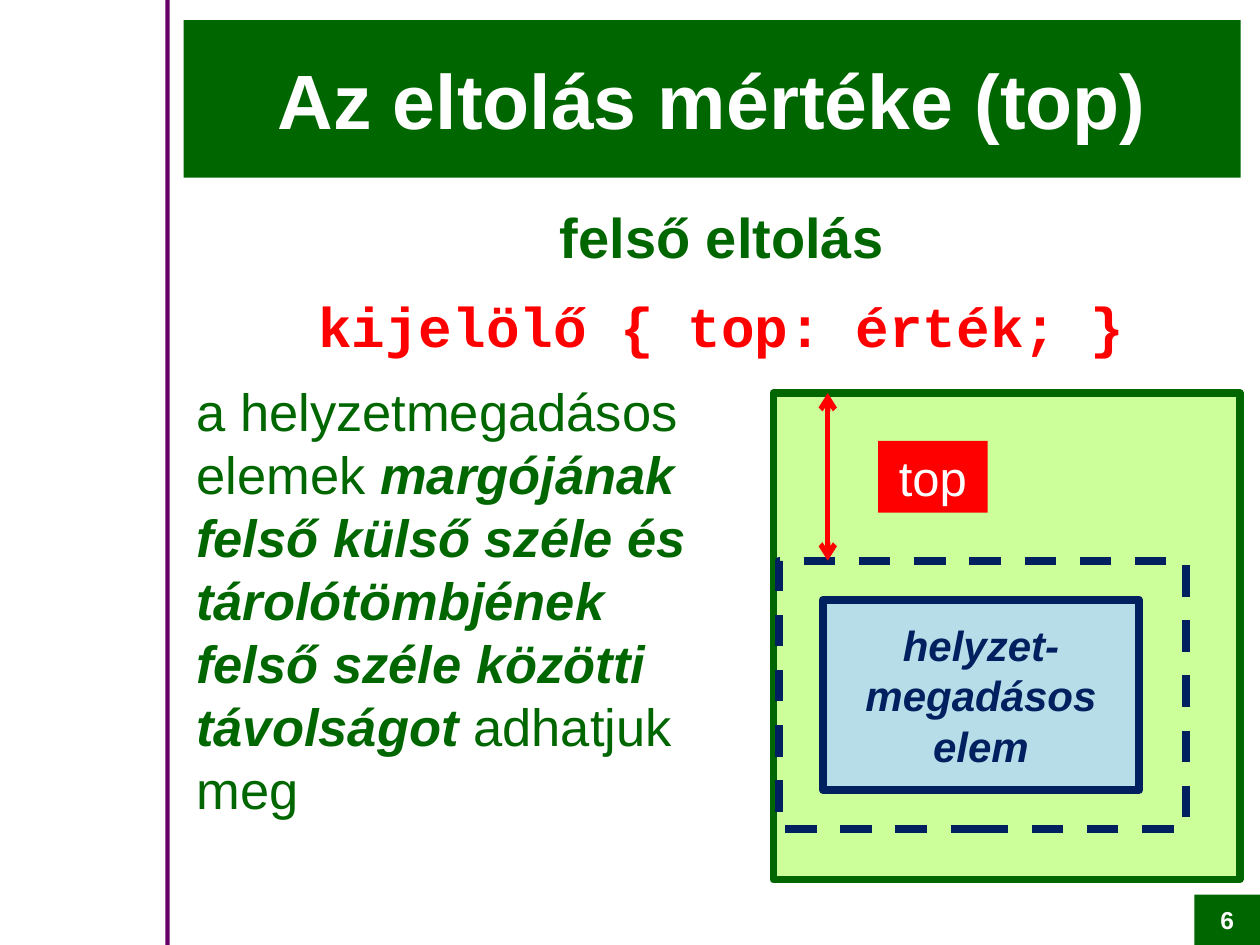
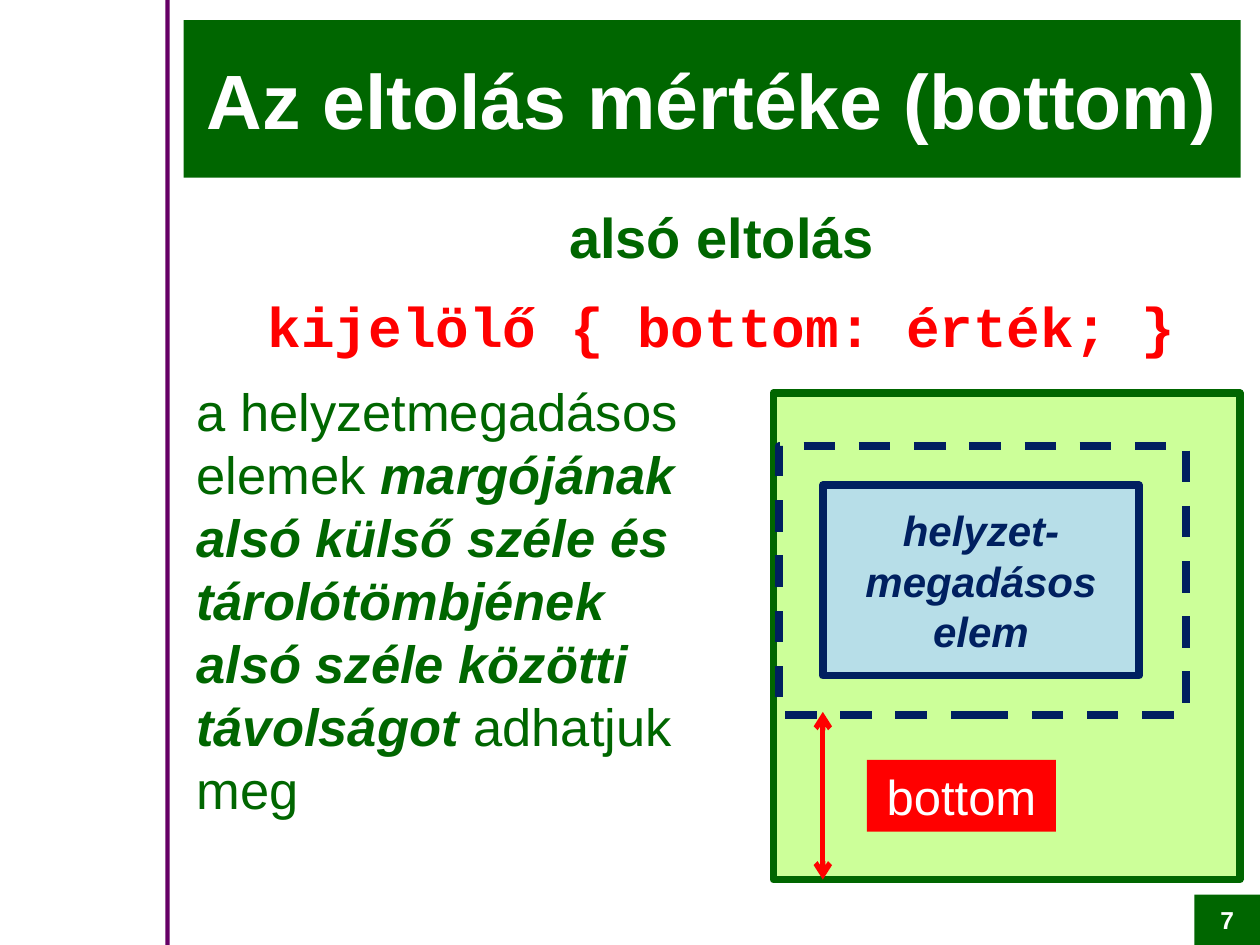
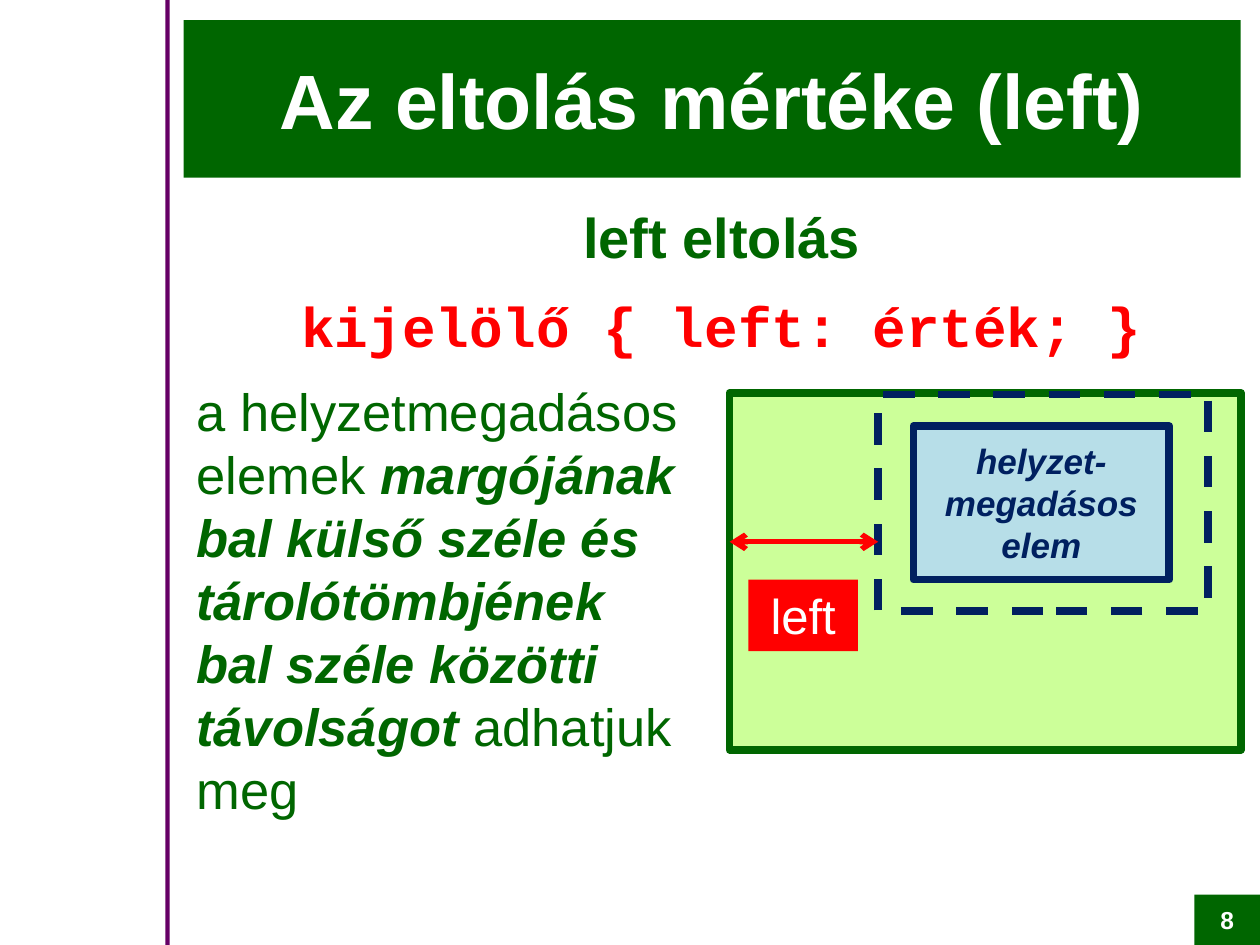
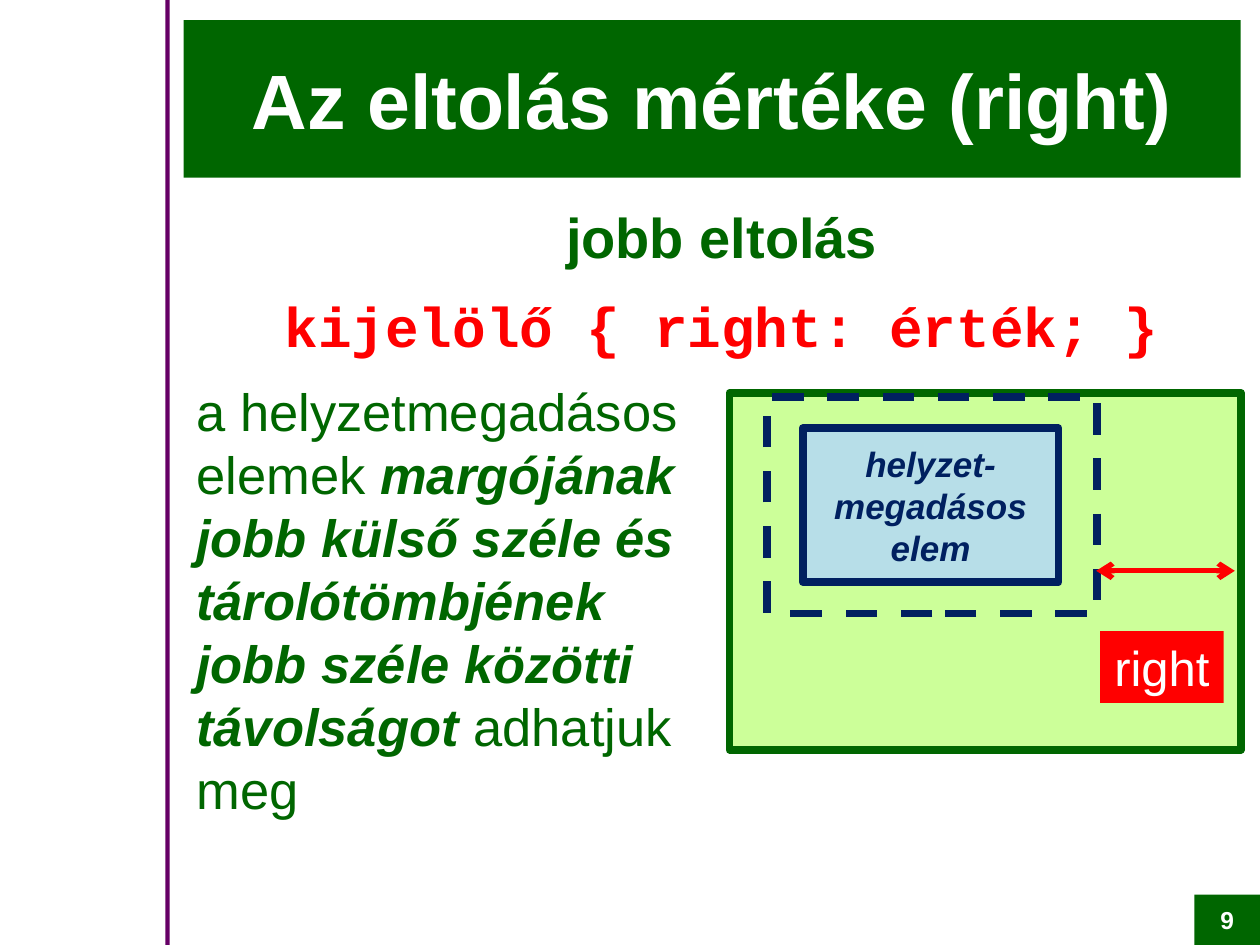
"""Build four slides on the CSS offset properties top, bottom, left and right."""
from lxml.etree import SubElement as Sub
from pptx import Presentation
from pptx.dml.color import RGBColor
from pptx.enum.dml import MSO_LINE as Dash
from pptx.enum.shapes import MSO_CONNECTOR as Conn, MSO_SHAPE as Form
from pptx.enum.text import MSO_ANCHOR as Anchor, MSO_AUTO_SIZE as Fit, PP_ALIGN as Align
from pptx.oxml.ns import qn
from pptx.util import Pt

GREEN = RGBColor(0x00, 0x66, 0x00)
LIME = RGBColor(0xCC, 0xFF, 0x99)
PURPLE = RGBColor(0x66, 0x00, 0x66)
NAVY = RGBColor(0x00, 0x20, 0x60)
SKY = RGBColor(0xB7, 0xDE, 0xE8)
RED = RGBColor(0xFF, 0x00, 0x00)
WHITE = RGBColor(0xFF, 0xFF, 0xFF)
SANS, MONO = "Arial", "Courier New"

BAND = (94.5, 0, 2.5, 540)
TITLE = (105, 11.5, 604, 90)
BODY = (105, 112.3, 615, 427.7)
BADGE = (682.5, 511.2, 37.5, 28.8)
FIRST = 6

TALL = dict(frame=(442, 224.6, 266.4, 278), outer=(232.6, 153.4), inner=(180.7, 108.7),
            inset=(25.2, 22.3), text=94.4, size=24, words="helyzet-megadásos elem")
WIDE = dict(frame=(416.9, 224.6, 292.3, 203.8), outer=(188.6, 123.8), inner=(146.2, 87.8),
            inset=(20.2, 18), text=80, size=20, words="helyzet-megadásos\nelem")

SLIDES = [
    dict(prop="top", head="felső", side="felső", kind=TALL, spot=(445, 320.4),
         arrow=(473, 224.6, 473, 320.4), label=(501.8, 252, 62.6, 41)),
    dict(prop="bottom", head="alsó", side="alsó", kind=TALL, spot=(445, 255),
         arrow=(470.2, 406.8, 470.2, 502.6), label=(495.4, 434.2, 108, 41)),
    dict(prop="left", head="left", side="bal", kind=WIDE, spot=(501.8, 225.4),
         arrow=(416.9, 309.6, 501.8, 309.6), label=(427.7, 331.2, 62.6, 41)),
    dict(prop="right", head="jobb", side="jobb", kind=WIDE, spot=(438.5, 226.8),
         arrow=(626.4, 326.2, 705.6, 326.2), label=(628.6, 360.7, 70.6, 41)),
]


def place(shape, box):
    shape.left, shape.top, shape.width, shape.height = map(Pt, box)


def style(para, size, color, bold=False, italic=False, face=SANS, align=Align.CENTER):
    para.alignment = align
    font = para.font
    font.name, font.size, font.bold, font.italic = face, Pt(size), bold, italic
    font.color.rgb = color


def write(shape, text, *args, fit=Fit.NONE, anchor=Anchor.MIDDLE, **opts):
    frame = shape.text_frame
    frame.word_wrap, frame.auto_size, frame.vertical_anchor = True, fit, anchor
    para = frame.paragraphs[0]
    para.text = text.replace("\n", "\v")
    style(para, *args, **opts)


def add_box(shapes, box, fill=None, line=None, dash=None):
    shape = shapes.add_shape(Form.RECTANGLE, *map(Pt, box))
    shape.shadow.inherit = False
    if fill is None:
        shape.fill.background()
    else:
        shape.fill.solid()
        shape.fill.fore_color.rgb = fill
    if line is None:
        shape.line.fill.background()
    else:
        shape.line.color.rgb, shape.line.width = line, Pt(4.5)
        shape.line.dash_style = dash
    return shape


def add_arrow(shapes, ends):
    link = shapes.add_connector(Conn.STRAIGHT, *map(Pt, ends))
    link.line.color.rgb, link.line.width = RED, Pt(3)
    for tag in ("a:headEnd", "a:tailEnd"):
        Sub(link.line._get_or_add_ln(), qn(tag), type="arrow")
    Sub(link.element.spPr, qn("a:effectLst"))


def add_runs(para, text, strong):
    for num, part in enumerate(text.split("\n")):
        if num:
            para.add_line_break()
        run = para.add_run()
        run.text = part
        if strong:
            run.font.bold = run.font.italic = True


def fill_body(body, prop, head, side):
    place(body, BODY)
    frame = body.text_frame
    frame.word_wrap, frame.auto_size = True, Fit.NONE
    strong = f"margójának\n{side} külső széle és\ntárolótömbjének\n{side} széle közötti\ntávolságot"
    rows = [
        ([(f"{head} eltolás", False)], dict(size=32, color=GREEN, bold=True)),
        ([(f"kijelölő {{ {prop}: érték; }}", False)],
         dict(size=32, color=RED, bold=True, face=MONO)),
        ([("a helyzetmegadásos\nelemek ", False), (strong, True), (" adhatjuk\nmeg", False)],
         dict(size=30, color=GREEN, align=Align.LEFT)),
    ]
    for num, (parts, look) in enumerate(rows):
        para = frame.add_paragraph() if num else frame.paragraphs[0]
        props = para._p.get_or_add_pPr()
        props.set("marL", "0")
        props.set("indent", "0")
        Sub(props, qn("a:buNone"))
        para.space_before, para.space_after = Pt(0), Pt(12)
        style(para, **look)
        for text, bold in parts:
            add_runs(para, text, bold)


def draw(shapes, prop, kind, spot, arrow, label):
    add_box(shapes, kind["frame"], LIME, GREEN)
    left, top = (a + b for a, b in zip(spot, kind["inset"]))
    wide, high = kind["inner"]
    group = shapes.add_group_shape().shapes
    add_box(group, (left, top, wide, high), SKY, NAVY)
    add_box(group, spot + kind["outer"], line=NAVY, dash=Dash.DASH)
    add_arrow(shapes, arrow)
    write(add_box(shapes, label, RED), prop, 28, WHITE, fit=Fit.SHAPE_TO_FIT_TEXT,
          anchor=Anchor.TOP)
    box = (left, top + (high - kind["text"]) / 2, wide, kind["text"])
    note = shapes.add_textbox(*map(Pt, box))
    write(note, kind["words"], kind["size"], NAVY, True, True, fit=Fit.SHAPE_TO_FIT_TEXT)


def add_slide(deck, num, prop, head, side, **parts):
    slide = deck.slides.add_slide(deck.slide_layouts[1])
    title, body = slide.placeholders
    place(title, TITLE)
    title.fill.solid()
    title.fill.fore_color.rgb = GREEN
    write(title, f"Az eltolás mértéke ({prop})", 44, WHITE, True)
    fill_body(body, prop, head, side)
    write(add_box(slide.shapes, BADGE, GREEN), str(num), 14, WHITE, True)
    draw(slide.shapes, prop, **parts)
    return slide


def main():
    deck = Presentation()
    deck.slide_width, deck.slide_height = Pt(720), Pt(540)
    for num, item in enumerate(SLIDES, FIRST):
        slide = add_slide(deck, num, **item)
    band = add_box(slide.shapes, BAND, PURPLE)
    deck.slide_master.shapes.element.insert(2, band.element)
    deck.save("out.pptx")


if __name__ == "__main__":
    main()
